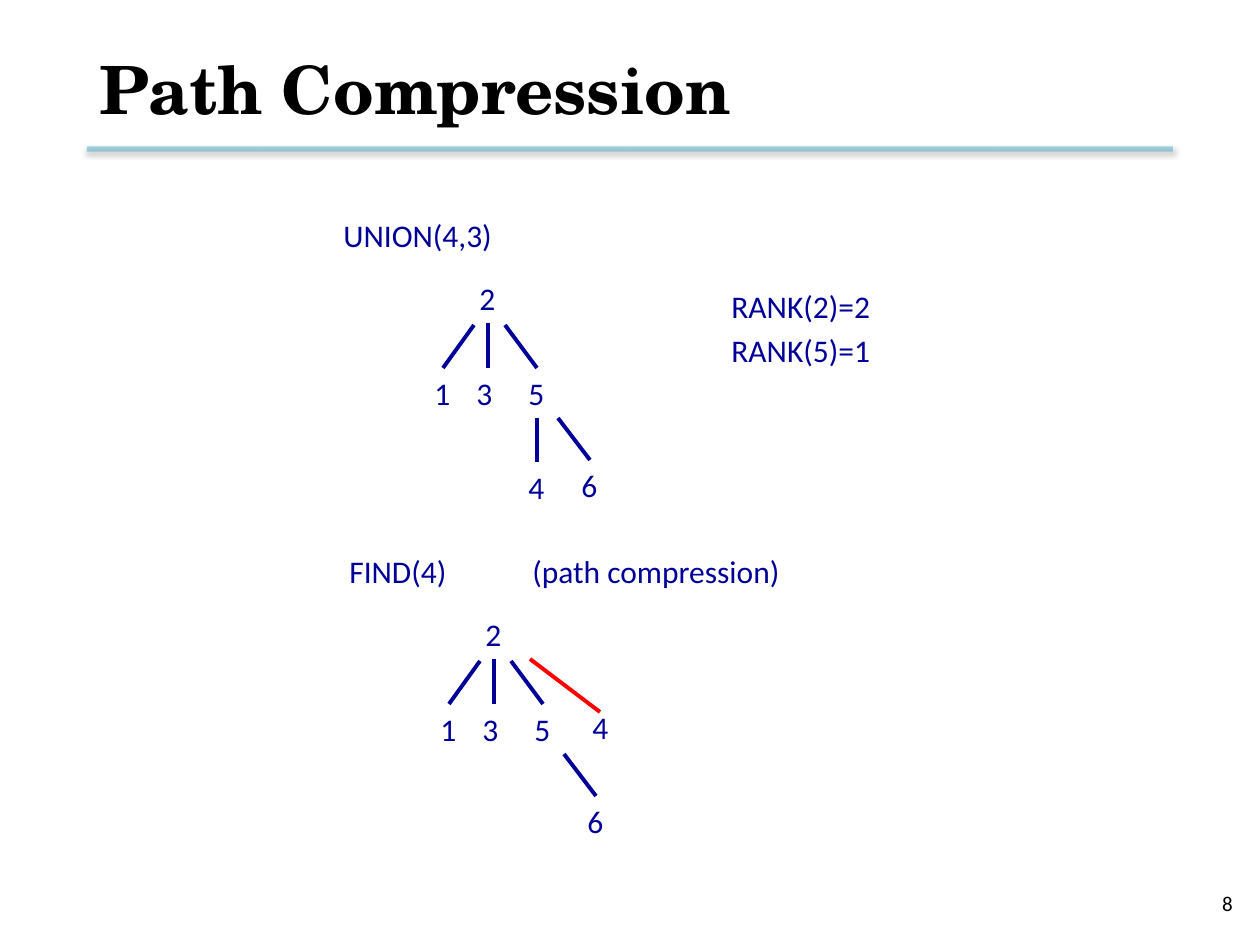
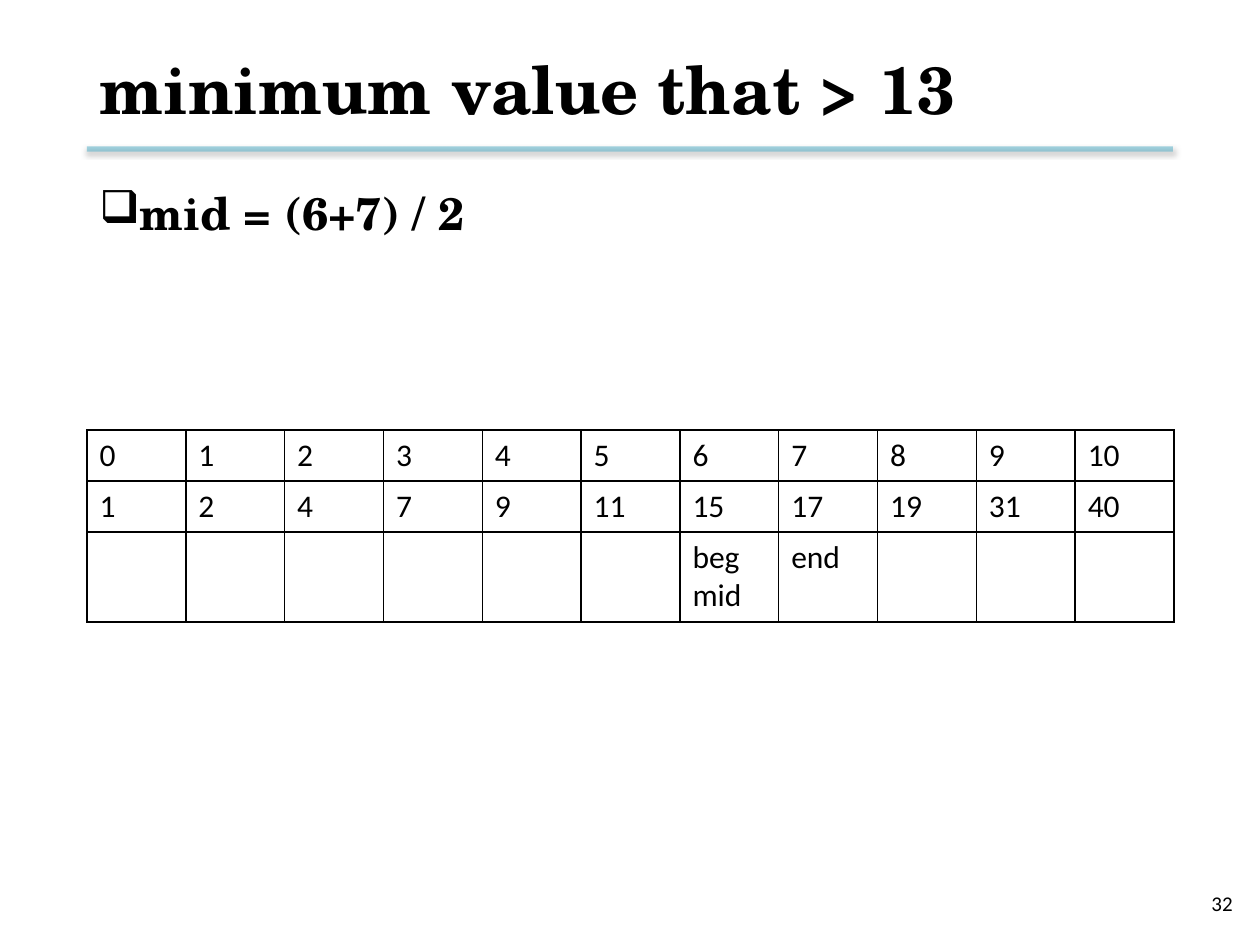
from dataclasses import dataclass

from lxml.etree import SubElement
from pptx import Presentation
from pptx.dml.color import RGBColor
from pptx.enum.shapes import MSO_CONNECTOR
from pptx.enum.text import MSO_ANCHOR, PP_ALIGN
from pptx.oxml.ns import qn
from pptx.util import Pt

EMU_PER_PX = 914400 / 126
TOP, BOTTOM = 0, 2
NODE_WIDTH, NODE_HEIGHT = 42, 50


@dataclass(frozen=True)
class Theme:
    black: str = "000000"
    tree: str = "000099"
    new_link: str = "FF0000"
    rule: str = "4BACC6"
    heading_font: str = "TeX Gyre Schola"
    body_font: str = "Calibri"
    title_size: int = 38
    bullet_size: int = 26
    text_size: int = 18
    number_size: int = 12
    rule_width: float = 3
    link_width: float = 2.25
    border_width: float = 1

    def heading(self, size):
        return {"name": self.heading_font, "size": Pt(size), "bold": True}

    def body(self, size):
        return {"name": self.body_font, "size": Pt(size), "bold": False}


def emu(px):
    return round(px * EMU_PER_PX)


def set_format(target, values):
    for name, value in values.items():
        setattr(target, name, value)


def add_element(parent, tag, **attributes):
    texts = {name: str(value) for name, value in attributes.items()}
    return SubElement(parent, qn(tag), texts)


class Deck:
    """Holds the theme and the slide being filled."""

    def __init__(self, theme):
        self.theme = theme
        self.presentation = Presentation()
        set_format(self.presentation, {"slide_width": emu(1260), "slide_height": emu(945)})
        self.slide = None

    def new_slide(self, title, number):
        theme = self.theme
        self.slide = self.presentation.slides.add_slide(self.presentation.slide_layouts[6])
        self.title_rule()
        self.text(number, (951, 878, 294, 50), theme.body(theme.number_size), theme.black,
                  anchor=MSO_ANCHOR.MIDDLE, align=PP_ALIGN.RIGHT)
        self.text(title, (87, 21, 1086, 134), theme.heading(theme.title_size), theme.black,
                  anchor=MSO_ANCHOR.MIDDLE)

    def title_rule(self):
        """Draw the half-transparent line with a soft shadow under the title."""
        rule = self.line((87, 149), (1173, 149), self.theme.rule, self.theme.rule_width)
        color = rule.line._ln.find(".//" + qn("a:srgbClr"))
        add_element(color, "a:alpha", val=50000)
        effects = rule._element.spPr.find(qn("a:effectLst"))
        shadow = add_element(effects, "a:outerShdw", blurRad=Pt(3.1), dist=Pt(1.6),
                             dir=5400000, rotWithShape=0)
        shadow_color = add_element(shadow, "a:srgbClr", val=self.theme.black)
        add_element(shadow_color, "a:alpha", val=38000)

    def text(self, words, box, font, color, anchor=MSO_ANCHOR.TOP, align=PP_ALIGN.LEFT,
             bullet=None, tab=None):
        shape = self.slide.shapes.add_textbox(*map(emu, box))
        set_format(shape.text_frame, {"word_wrap": True, "vertical_anchor": anchor})
        paragraph = shape.text_frame.paragraphs[0]
        paragraph.alignment = align
        properties = paragraph._p.get_or_add_pPr()
        if bullet:
            properties.set("marL", str(emu(32)))
            properties.set("indent", str(emu(-57)))
            add_element(properties, "a:buChar", char=bullet)
        if tab:
            stops = add_element(properties, "a:tabLst")
            add_element(stops, "a:tab", pos=emu(tab), algn="l")
        run = paragraph.add_run()
        run.text = words
        set_format(run.font, font)
        run.font.color.rgb = RGBColor.from_string(color)
        return shape

    def label(self, words, box, tab=None):
        return self.text(words, box, self.theme.body(self.theme.text_size),
                         self.theme.tree, tab=tab)

    def line(self, start, end, color, width):
        connector = self.slide.shapes.add_connector(
            MSO_CONNECTOR.STRAIGHT, *map(emu, (*start, *end)))
        connector.line.color.rgb = RGBColor.from_string(color)
        connector.line.width = Pt(width)
        add_element(connector._element.spPr, "a:effectLst")
        return connector

    def tree(self, origin, nodes, links):
        """Draw nodes and links placed from origin; a link joins the nodes it names."""
        left, top = origin
        shapes = {
            name: self.label(name, (left + x, top + y, NODE_WIDTH, NODE_HEIGHT))
            for name, (x, y) in nodes.items()
        }
        for (x1, y1), (x2, y2), parent, child, color in links:
            connector = self.line((left + x1, top + y1), (left + x2, top + y2),
                                  color, self.theme.link_width)
            if parent:
                connector.begin_connect(shapes[parent], BOTTOM)
            if child:
                connector.end_connect(shapes[child], TOP)

    def table(self, rows, box, row_heights):
        table = self.slide.shapes.add_table(len(rows), len(rows[0]), *map(emu, box)).table
        set_format(table, {"first_row": False, "horz_banding": False})
        for row, height, values in zip(table.rows, row_heights, rows):
            row.height = emu(height)
            for cell, value in zip(row.cells, values):
                self.fill_cell(cell, value)

    def fill_cell(self, cell, value):
        theme = self.theme
        cell.text = value
        for paragraph in cell.text_frame.paragraphs:
            set_format(paragraph.font, theme.body(theme.text_size))
            paragraph.font.color.rgb = RGBColor.from_string(theme.black)
        properties = cell._tc.get_or_add_tcPr()
        for side in ("L", "R", "T", "B"):
            border = add_element(properties, f"a:ln{side}", w=Pt(theme.border_width))
            fill = add_element(border, "a:solidFill")
            add_element(fill, "a:srgbClr", val=theme.black)
        cell.fill.background()


def path_compression(deck):
    theme = deck.theme
    nodes = {"2": (136, 63), "1": (91, 158), "3": (133, 158), "5": (185, 158), "6": (238, 250)}
    links = [
        ((143, 115), (112, 158), None, "1", theme.tree),
        ((157, 115), (157, 158), "2", None, theme.tree),
        ((174, 115), (206, 158), None, "5", theme.tree),
        ((227, 208), (259, 250), None, "6", theme.tree),
    ]
    link_before = ((206, 208), (206, 252), "5", "4", theme.tree)
    link_after = ((193, 113), (263, 166), None, None, theme.new_link)
    union, find = (331, 210), (337, 546)

    deck.new_slide("Path Compression", "8")
    deck.label("UNION(4,3)", (*union, 190, 50))
    deck.tree(union, {**nodes, "4": (185, 252)}, [*links, link_before])
    for words, top in (("RANK(2)=2", 281), ("RANK(5)=1", 325)):
        deck.label(words, (719, top, 185, 50))
    deck.label("FIND(4)\t(path compression)", (*find, 518, 89), tab=183)
    deck.tree(find, {**nodes, "4": (243, 156)}, [*links, link_after])


def binary_search(deck):
    theme = deck.theme
    values = [1, 2, 4, 7, 9, 11, 15, 17, 19, 31, 40]
    markers = {6: "beg\nmid", 7: "end"}
    indexes = range(len(values))
    rows = [
        [str(index) for index in indexes],
        [str(value) for value in values],
        [markers.get(index, "") for index in indexes],
    ]

    deck.new_slide("minimum value that > 13", "32")
    deck.table(rows, (87, 430, 1087, 192), (51, 51, 90))
    deck.text("mid = (6+7) / 2", (87, 179, 1086, 643), theme.heading(theme.bullet_size),
              theme.black, bullet="❑")


def main():
    deck = Deck(Theme())
    path_compression(deck)
    binary_search(deck)
    deck.presentation.save("out.pptx")


if __name__ == "__main__":
    main()
